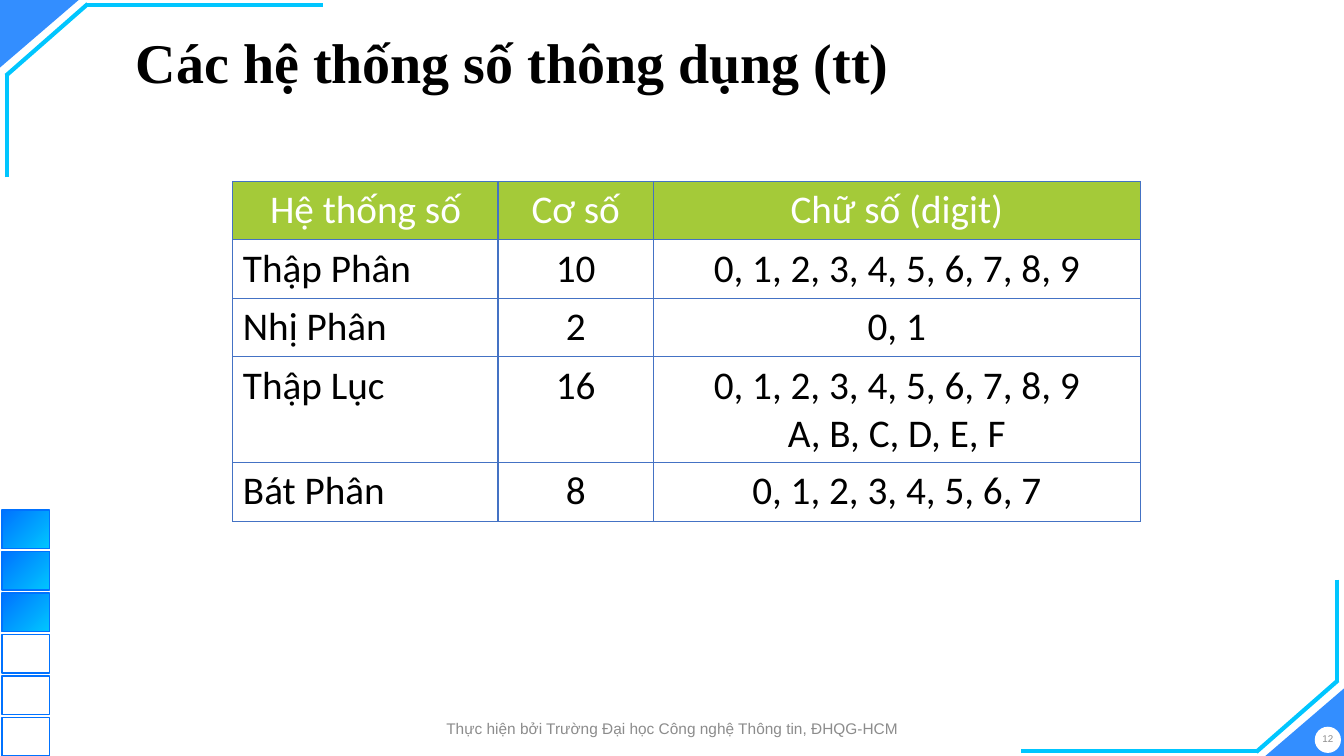
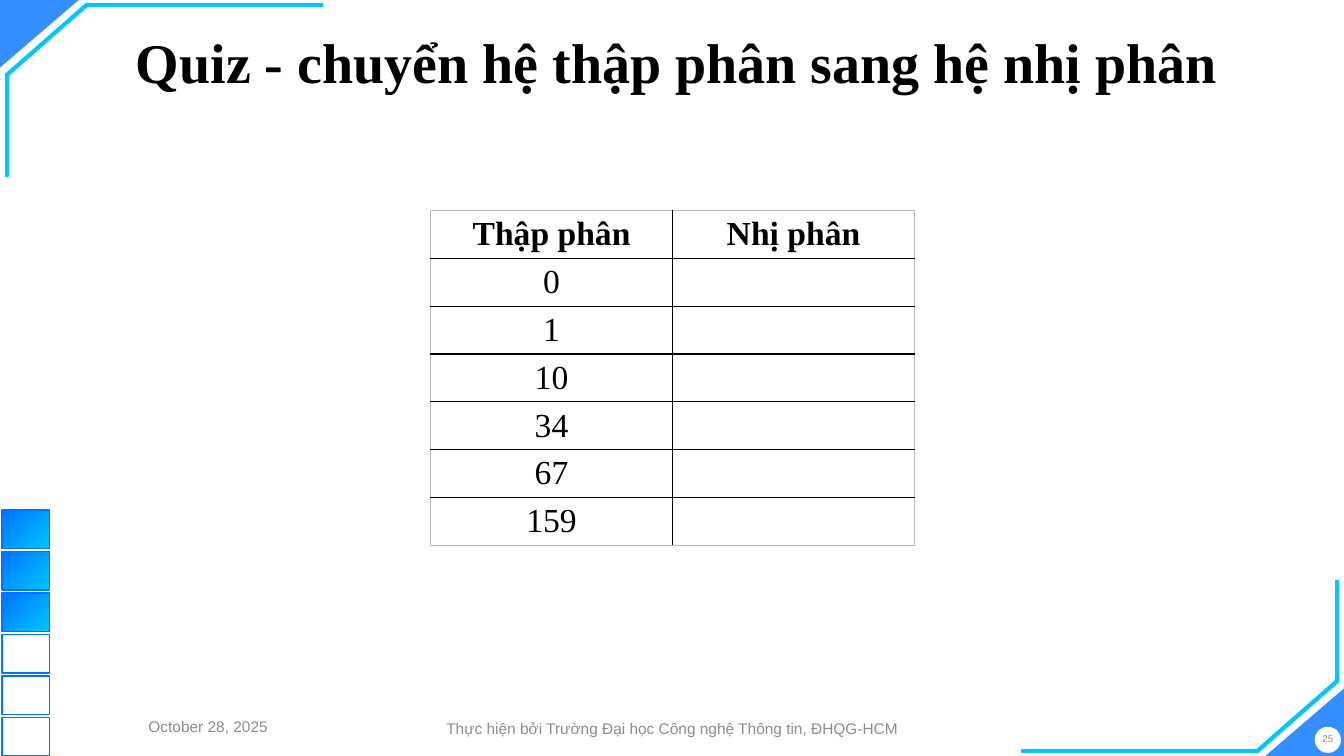
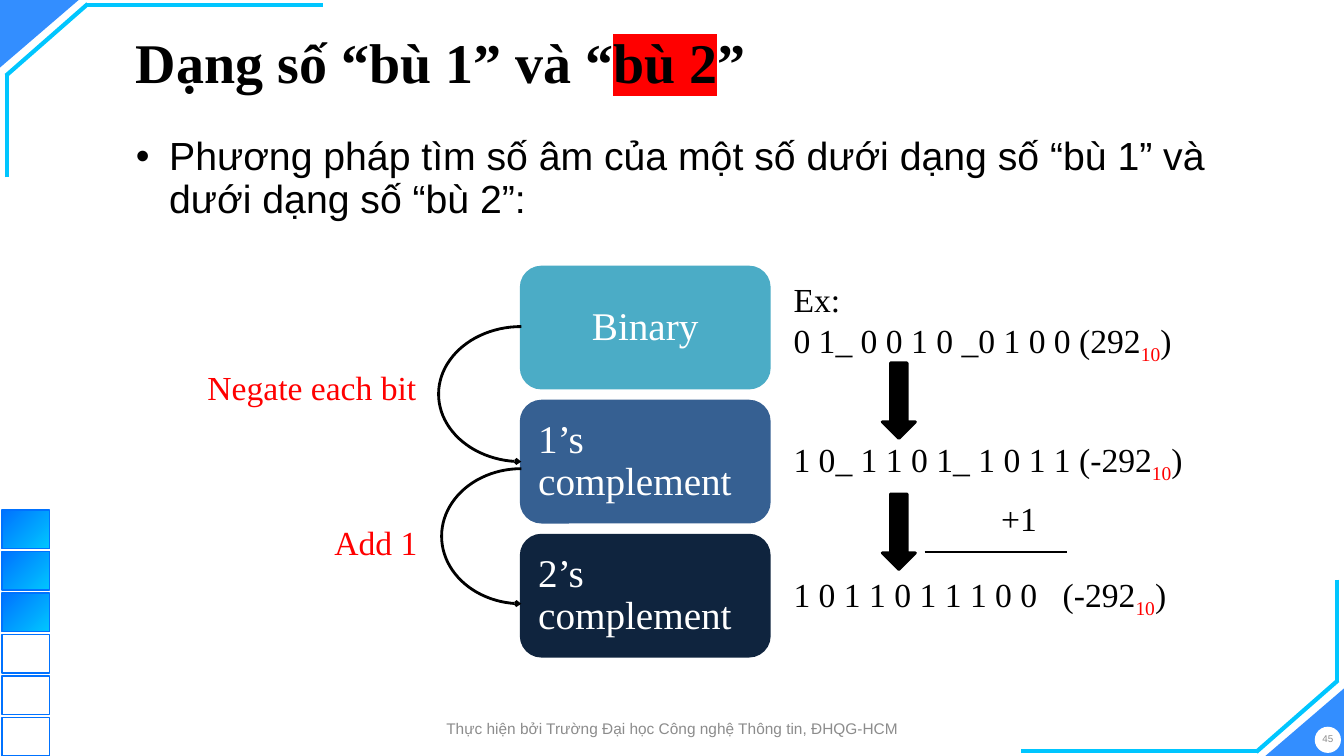
from math import cos, pi, sin

from lxml import etree
from pptx import Presentation
from pptx.dml.color import RGBColor
from pptx.enum.shapes import MSO_CONNECTOR, MSO_SHAPE
from pptx.enum.text import MSO_ANCHOR, PP_ALIGN
from pptx.oxml.ns import qn
from pptx.util import Inches, Pt

LEFT, CENTER, RIGHT = PP_ALIGN.LEFT, PP_ALIGN.CENTER, PP_ALIGN.RIGHT
TOP, MIDDLE = MSO_ANCHOR.TOP, MSO_ANCHOR.MIDDLE
STRAIGHT = MSO_CONNECTOR.STRAIGHT
RECT, ROUND_RECT, OVAL = MSO_SHAPE.RECTANGLE, MSO_SHAPE.ROUNDED_RECTANGLE, MSO_SHAPE.OVAL
TRIANGLE, DOWN_ARROW = MSO_SHAPE.ISOSCELES_TRIANGLE, MSO_SHAPE.DOWN_ARROW

BLACK = RGBColor(0x00, 0x00, 0x00)
WHITE = RGBColor(0xFF, 0xFF, 0xFF)
RED = RGBColor(0xFF, 0x00, 0x00)
BLUE = RGBColor(0x00, 0x72, 0xFF)
CYAN = RGBColor(0x00, 0xC6, 0xFF)
GREY = RGBColor(0x8C, 0x8C, 0x8C)
PALE = RGBColor(0xBC, 0xBC, 0xBC)
GREEN = RGBColor(0xA4, 0xCA, 0x39)
GRID_BLUE = RGBColor(0x44, 0x72, 0xC4)
TEAL = RGBColor(0x4B, 0xAC, 0xC6)
STEEL = RGBColor(0x36, 0x60, 0x92)
NAVY = RGBColor(0x0F, 0x24, 0x3E)

W, H = 13.33, 7.5
SERIF, SANS = "Times New Roman", "Arial"
TITLE = dict(name=SERIF, size=Pt(40), bold=True)
BODY = dict(name=SANS, size=Pt(28))
FOOTER = dict(name=SANS, size=Pt(11))
NUMBER = dict(name=SANS, size=Pt(7))
STEP = dict(name=SERIF, size=Pt(28))
NOTE = dict(name=SERIF, size=Pt(24))
SYSTEM_CELL = dict(name="Calibri", size=Pt(28))

FOOTER_TEXT = "Thực hiện bởi Trường Đại học Công nghệ Thông tin, ĐHQG-HCM"
CORNER = (0.78, 0.67)
FRAME_LINES = [
    (3.2, 0.05, 0.85, 0.05), (0.87, 0.04, 0.06, 0.75), (0.07, 1.76, 0.07, 0.73),
    (10.13, 7.45, 12.48, 7.45), (12.46, 7.46, 13.27, 6.75), (13.26, 5.75, 13.26, 6.77),
]
SQUARES, FILLED_SQUARES = 6, 3

SYSTEMS = [
    ("Hệ thống số", "Cơ số", "Chữ số (digit)"),
    ("Thập Phân", "10", "0, 1, 2, 3, 4, 5, 6, 7, 8, 9"),
    ("Nhị Phân", "2", "0, 1"),
    ("Thập Lục", "16", "0, 1, 2, 3, 4, 5, 6, 7, 8, 9\nA, B, C, D, E, F"),
    ("Bát Phân", "8", "0, 1, 2, 3, 4, 5, 6, 7"),
]
QUIZ = [("Thập phân", "Nhị phân")] + [(n, "") for n in ("0", "1", "10", "34", "67", "159")]

METHOD = "Phương pháp tìm số âm của một số dưới dạng số “bù 1” và dưới dạng số “bù 2”:"
STEPS = [("Binary", TEAL, CENTER), ("1’s complement", STEEL, LEFT), ("2’s complement", NAVY, LEFT)]
STEP_BOX, STEP_PITCH = (5.17, 2.65, 2.46, 1.2), 1.33
BASE_TEN = [("10", dict(color=RED, base=-25)), ")"]
EXAMPLES = [
    ((7.83, 2.73, 4.08, 0.89), [["Ex:"], ["0 1_ 0 0 1 0 _0 1 0 0 (292"] + BASE_TEN]),
    ((7.83, 4.31, 4.01, 0.51), [["1 0_ 1 1 0 1_ 1 0 1 1 (-292"] + BASE_TEN]),
    ((7.83, 5.65, 4.01, 0.51), [["1 0 1 1 0 1 1 1 0 0\t(-292"] + BASE_TEN]),
    ((9.89, 4.9, 0.93, 0.44), [["+1"]]),
]
ACTIONS = [
    ("Negate each bit", (1.25, 3.6, 2.92, 0.96)),
    ("Add 1", (2.04, 5.14, 2.14, 0.51)),
]
CURVES = [(3.24, 0.82), (4.65, 0.79)]
ARROW_TOPS = [3.6, 4.9]


def inches(values):
    return [Inches(v) for v in values]


def add(parent, tag, **attrs):
    el = etree.SubElement(parent, qn(tag))
    for key, value in attrs.items():
        el.set(key, str(value))
    return el


def write(tf, paras, fmt, color=BLACK, align=LEFT, spacing=None, bullet=False, tab=None):
    for i, runs in enumerate(paras):
        p = tf.paragraphs[0] if i == 0 else tf.add_paragraph()
        p.alignment = align
        if spacing:
            p.line_spacing = spacing
        pPr = p._p.get_or_add_pPr()
        if bullet:
            pPr.set("marL", str(Inches(0.33)))
            pPr.set("indent", str(-Inches(0.33)))
            add(pPr, "a:buFont", typeface=SANS)
            add(pPr, "a:buChar", char="•")
        if tab:
            add(add(pPr, "a:tabLst"), "a:tab", pos=Inches(tab), algn="l")
        for run in runs:
            text, extra = (run, {}) if isinstance(run, str) else run
            r = p.add_run()
            r.text = text
            for key, value in fmt.items():
                setattr(r.font, key, value)
            r.font.color.rgb = extra.get("color", color)
            rPr = r._r.get_or_add_rPr()
            if "base" in extra:
                rPr.set("baseline", str(extra["base"] * 1000))
            if "highlight" in extra:
                mark = add(rPr, "a:highlight")
                add(mark, "a:srgbClr", val=extra["highlight"])
                rPr.find(qn("a:solidFill")).addnext(mark)


def set_frame(tf, inset, anchor):
    tf.word_wrap = True
    tf.vertical_anchor = anchor
    for side, value in zip(("left", "top", "right", "bottom"), inset):
        setattr(tf, "margin_" + side, Inches(value))


def add_text(s, box, paras, fmt, inset=(0.1, 0.05, 0.1, 0.05), anchor=TOP, **style):
    tf = s.shapes.add_textbox(*inches(box)).text_frame
    set_frame(tf, inset, anchor)
    write(tf, paras, fmt, **style)


def add_shape(s, kind, box, fill=None, line=None, width=1):
    sp = s.shapes.add_shape(kind, *inches(box))
    sp.shadow.inherit = False
    if fill is None:
        sp.fill.background()
    else:
        sp.fill.solid()
        sp.fill.fore_color.rgb = fill
    if line is None:
        sp.line.fill.background()
    else:
        sp.line.color.rgb = line
        sp.line.width = Pt(width)
    return sp


def add_line(s, points, color, width):
    ln = s.shapes.add_connector(STRAIGHT, *inches(points))
    ln.line.color.rgb = color
    ln.line.width = Pt(width)
    add(ln._element.spPr, "a:effectLst")


def add_curve(s, top, depth, height=1.34, steps=48):
    right = STEP_BOX[0]
    angles = [pi * i / steps for i in range(steps + 1)]
    points = [
        inches((right - depth * sin(a), top + height / 2 * (1 - cos(a)))) for a in angles
    ]
    path = s.shapes.build_freeform(*points[0])
    path.add_line_segments(points[1:], close=False)
    sp = path.convert_to_shape()
    sp.shadow.inherit = False
    sp.fill.background()
    sp.line.color.rgb = BLACK
    sp.line.width = Pt(2)
    add(sp.line._get_or_add_ln(), "a:tailEnd", type="arrow", w="sm", len="sm")


def add_borders(cell, colors):
    tcPr = cell._tc.get_or_add_tcPr()
    for i, (side, color) in enumerate(zip("LRTB", colors)):
        ln = etree.Element(qn("a:ln" + side), w=str(Pt(0.96)))
        add(add(ln, "a:solidFill"), "a:srgbClr", val=color)
        tcPr.insert(i, ln)


def add_table(s, left, top, cols, heights, rows, fmt, style):
    box = inches((left, top, sum(cols), sum(heights)))
    tbl = s.shapes.add_table(len(rows), len(cols), *box).table
    tbl.first_row = tbl.horz_banding = False
    for col, width in zip(tbl.columns, cols):
        col.width = Inches(width)
    for i, row in enumerate(rows):
        tbl.rows[i].height = Inches(heights[i])
        for j, text in enumerate(row):
            cell = tbl.cell(i, j)
            cell.fill.background()
            extra, color, align = style(cell, i, j)
            if text:
                paras = [[part] for part in text.split("\n")]
                write(cell.text_frame, paras, fmt | extra, color=color, align=align)


def system_style(cell, i, j):
    header = i == 0
    if header:
        cell.fill.solid()
        cell.fill.fore_color.rgb = GREEN
    add_borders(cell, [GRID_BLUE] * 4)
    return {}, WHITE if header else BLACK, CENTER if header or j else LEFT


def quiz_style(cell, i, j):
    outer = (j == 0, j == 1, i == 0, i == len(QUIZ) - 1)
    add_borders(cell, [PALE if edge else BLACK for edge in outer])
    cell.vertical_anchor = MIDDLE
    cell.margin_left = cell.margin_right = Inches(0.07)
    cell.margin_top = cell.margin_bottom = Inches(0.02)
    return dict(bold=i == 0), BLACK, CENTER


def add_corner(s, left, top, rotation):
    sp = add_shape(s, TRIANGLE, (left, top, *CORNER), BLUE)
    sp.adjustments[0] = 1
    sp.rotation = rotation
    add(sp._element.spPr.find(qn("a:solidFill"))[0], "a:alpha", val=80000)


def new_slide(prs, title, number, date=None):
    s = prs.slides.add_slide(prs.slide_layouts[6])
    add_corner(s, 0, 0, 180)
    add_corner(s, W - CORNER[0], H - CORNER[1], 0)
    for points in FRAME_LINES:
        add_line(s, points, CYAN, 3)
    add_shape(s, OVAL, (13.04, 7.21, 0.26, 0.26), WHITE)
    for i in range(SQUARES):
        sp = add_shape(s, RECT, (0.02, 5.06 + i * 0.412, 0.47, 0.38), line=BLUE)
        if i < FILLED_SQUARES:
            sp.fill.gradient()
            sp.fill.gradient_angle = 315
            for stop, color in zip(sp.fill.gradient_stops, (BLUE, CYAN)):
                stop.color.rgb = color
    add_text(s, (1.25, 0.16, 11.5, 0.98), [title], TITLE, anchor=MIDDLE, spacing=0.9)
    small = dict(anchor=MIDDLE, color=GREY, align=CENTER)
    add_text(s, (3.99, 7.08, 5.36, 0.29), [[FOOTER_TEXT]], FOOTER, **small)
    add_text(s, (13.01, 7.17, 0.32, 0.32), [[number]], NUMBER, inset=(0,) * 4, **small)
    if date:
        add_text(s, (0.92, 7.06, 2.29, 0.29), [[date]], FOOTER, **small)
    return s


def systems_slide(prs):
    s = new_slide(prs, ["Các hệ thống số thông dụng (tt)"], "12")
    heights = [1.05 if "\n" in row[-1] else 0.58 for row in SYSTEMS]
    add_table(s, 2.31, 1.8, (2.63, 1.54, 4.83), heights, SYSTEMS, SYSTEM_CELL, system_style)


def quiz_slide(prs):
    s = new_slide(prs, ["Quiz - chuyển hệ thập phân sang hệ nhị phân"], "25", "October 28, 2025")
    add_table(s, 4.27, 2.09, (2.4, 2.4), [3.32 / len(QUIZ)] * len(QUIZ), QUIZ, NOTE, quiz_style)


def complement_slide(prs):
    title = ["Dạng số “bù 1” và “", ("bù 2", dict(highlight=RED)), "”"]
    s = new_slide(prs, title, "45")
    add_text(s, (1.25, 1.31, 11.5, 1), [[METHOD]], BODY, spacing=0.9, bullet=True)
    left, top, width, height = STEP_BOX
    for i, (label, color, align) in enumerate(STEPS):
        box = (left, top + i * STEP_PITCH, width, height)
        sp = add_shape(s, ROUND_RECT, box, color, color, 2)
        set_frame(sp.text_frame, (0.11,) * 4, MIDDLE)
        write(sp.text_frame, [[label]], STEP, color=WHITE, align=align, spacing=0.9)
    for curve in CURVES:
        add_curve(s, *curve)
    for arrow_top in ARROW_TOPS:
        add_shape(s, DOWN_ARROW, (8.75, arrow_top, 0.33, 0.75), BLACK, BLACK, 2)
    for label, box in ACTIONS:
        add_text(s, box, [[label]], NOTE, inset=(0.04,) * 4, color=RED, align=RIGHT)
    for box, paras in EXAMPLES:
        tab = 2.67 if "\t" in paras[0][0] else None
        add_text(s, box, paras, NOTE, inset=(0.04,) * 4, tab=tab)
    add_line(s, (9.17, 5.48, 10.58, 5.48), BLACK, 1.5)


def main():
    prs = Presentation()
    prs.slide_width, prs.slide_height = inches((W, H))
    for build in (systems_slide, quiz_slide, complement_slide):
        build(prs)
    prs.save("out.pptx")


if __name__ == "__main__":
    main()
